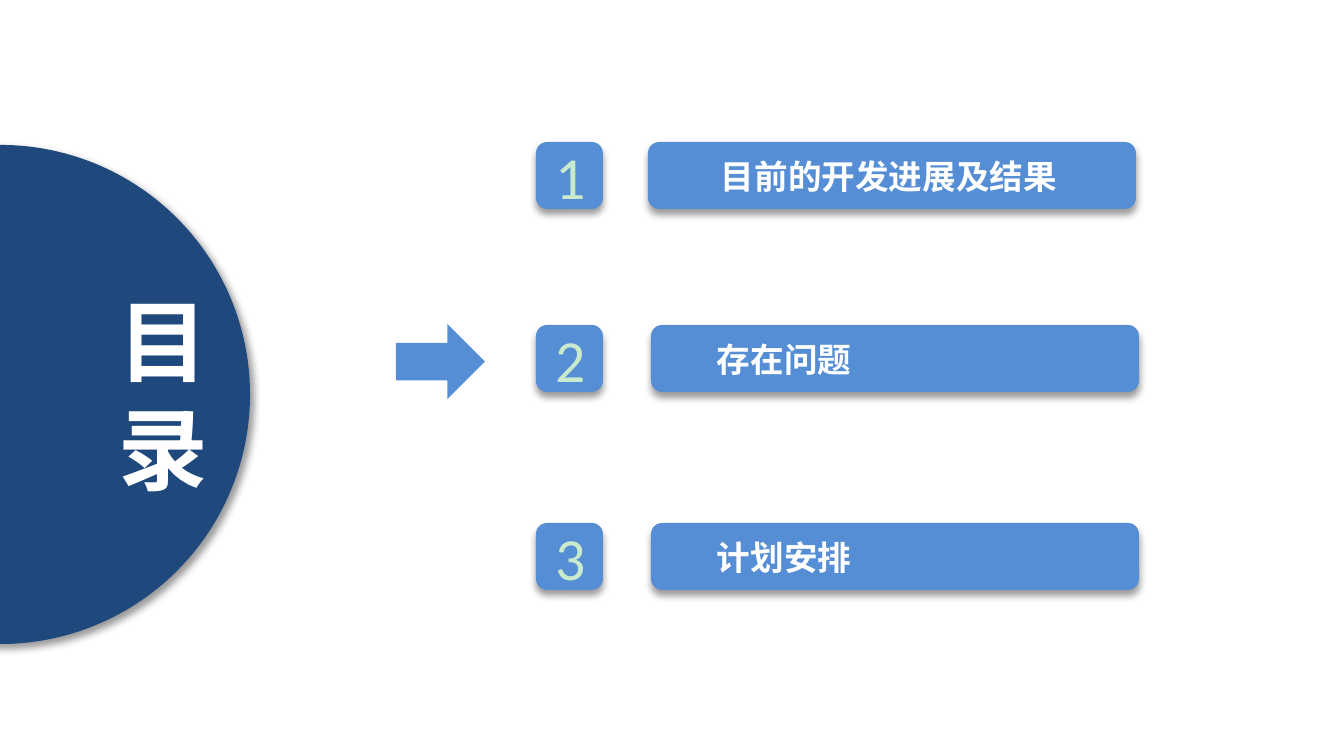
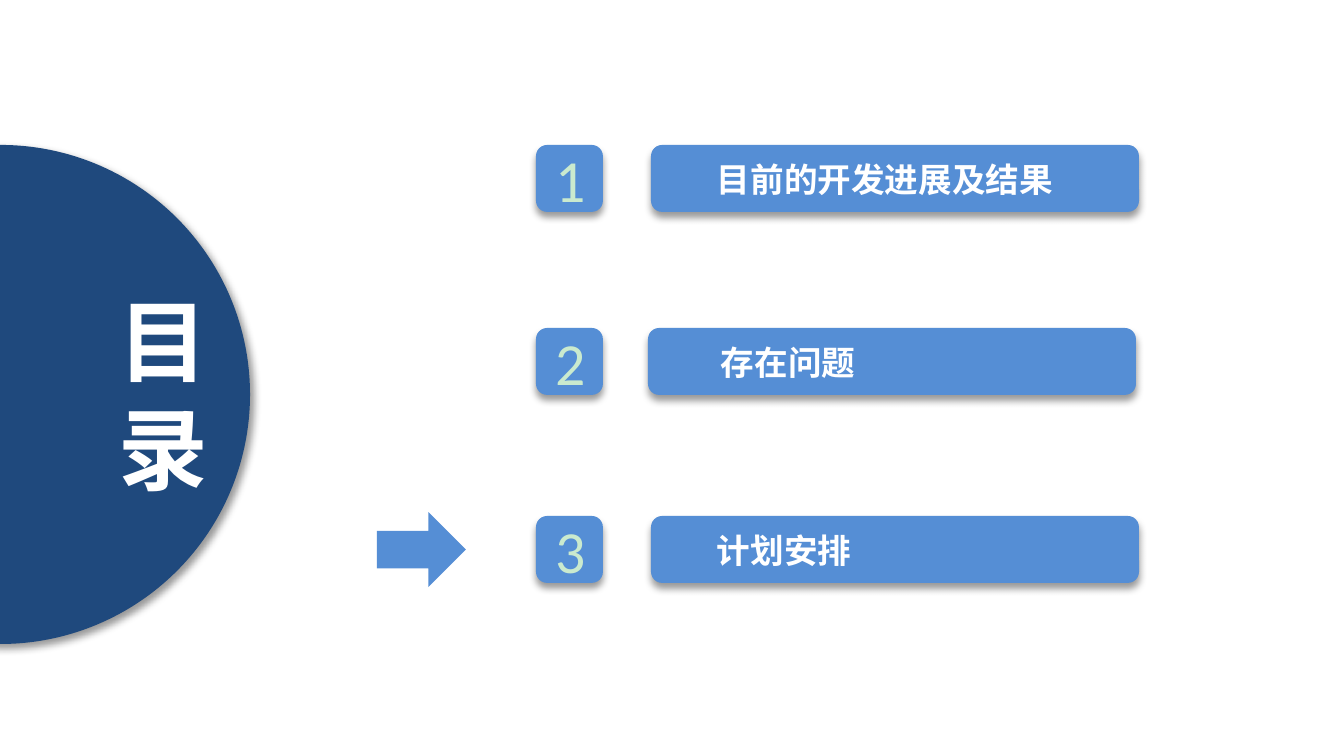
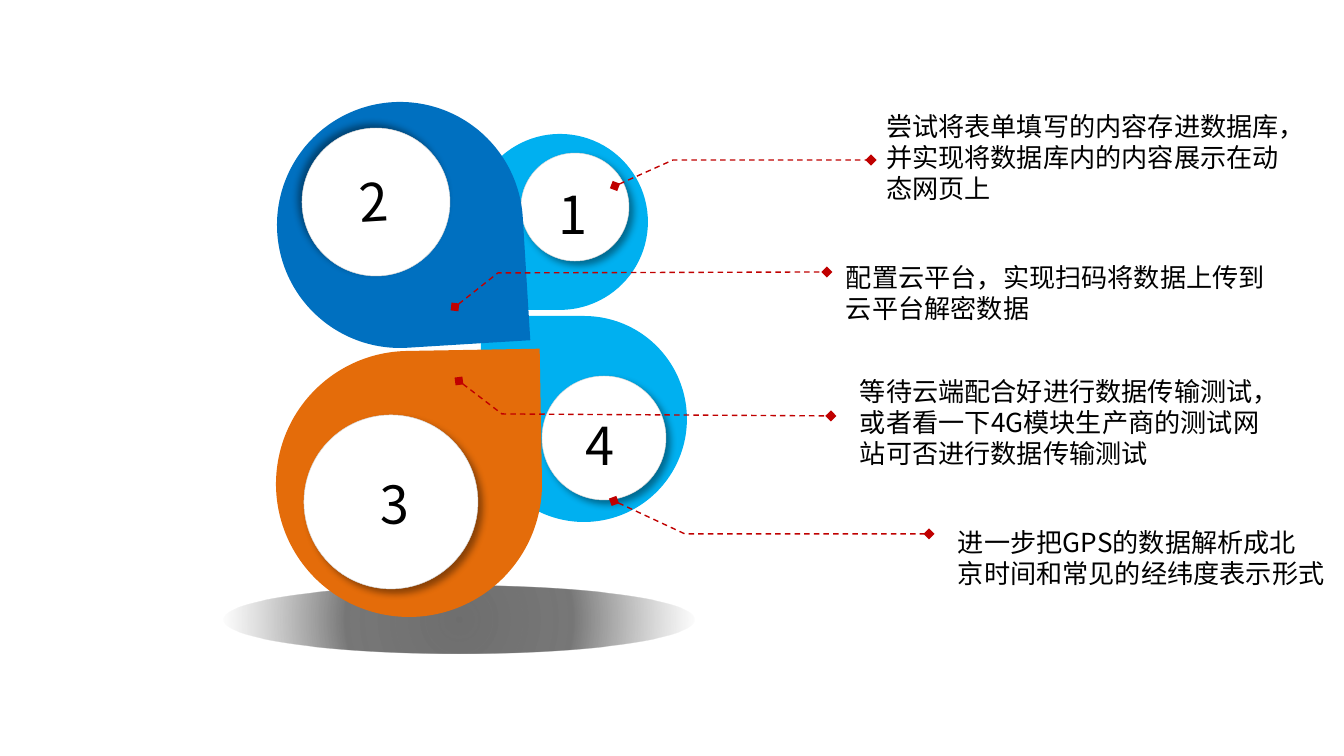
from lxml.etree import SubElement
from pptx import Presentation
from pptx.dml.color import RGBColor
from pptx.enum.dml import MSO_LINE_DASH_STYLE as DASH
from pptx.enum.shapes import MSO_SHAPE as SHAPE
from pptx.enum.text import MSO_ANCHOR as ANCHOR, MSO_AUTO_SIZE as AUTO, PP_ALIGN as ALIGN
from pptx.oxml.ns import qn
from pptx.util import Emu, Pt

COLORS = {
    "navy": "1F497D", "blue": "558ED5", "mint": "CAEACE", "white": "FFFFFF",
    "black": "000000", "sky": "00B0F0", "deep": "0070C0", "orange": "E46C0A",
    "red": "C00000", "rim": "D9D9D9",
}
CJK, LATIN = "Noto Sans CJK SC", "Calibri"
EMU_PER_PX = 914400 / 134.4
TOPICS = ["目前的开发进展及结果", "存在问题", "计划安排"]
LABEL_INSETS = (17, 9)
NUMBER_INSETS = (16, 8)
PLAIN_INSETS = (13, 7)


def px(length):
    return Emu(round(length * EMU_PER_PX))


def color(name):
    return RGBColor.from_string(COLORS[name])


def add_figure(page, kind, box, fill, rotation=0, flip=False, shadow=None):
    """Add a preset shape without outline; shadow is its direction in degrees."""
    figure = page.shapes.add_shape(kind, *map(px, box))
    figure.fill.solid()
    figure.fill.fore_color.rgb = color(fill)
    figure.line.fill.background()
    figure.rotation = rotation
    figure.shadow.inherit = False
    properties = figure._element.spPr
    if flip:
        properties.find(qn("a:xfrm")).set("flipH", "1")
    if shadow is not None:
        outer = SubElement(
            properties.find(qn("a:effectLst")), qn("a:outerShdw"),
            blurRad=str(Pt(4)), dist=str(Pt(3)), dir=str(shadow * 60000),
            algn="ctr", rotWithShape="0")
        tint = SubElement(outer, qn("a:srgbClr"), val=COLORS["black"])
        SubElement(tint, qn("a:alpha"), val="40000")
    return figure


def write(shape, lines, size, ink, insets, font=CJK, bold=False,
          align=ALIGN.LEFT, anchor=ANCHOR.TOP, wrap=True, grow=True):
    frame = shape.text_frame
    frame.text = "\n".join(lines)
    frame.word_wrap = wrap
    frame.auto_size = AUTO.SHAPE_TO_FIT_TEXT if grow else AUTO.NONE
    frame.vertical_anchor = anchor
    frame.margin_left = frame.margin_right = px(insets[0])
    frame.margin_top = frame.margin_bottom = px(insets[1])
    for para in frame.paragraphs:
        para.alignment = align
        for span in para.runs:
            span.font.size = Pt(size)
            span.font.bold = bold
            span.font.color.rgb = color(ink)
            span.font.name = font
            SubElement(span._r.get_or_add_rPr(), qn("a:ea"), typeface=font)


def add_text(page, box, lines, size, ink, insets=PLAIN_INSETS, **style):
    text_box = page.shapes.add_textbox(*map(px, box))
    write(text_box, lines, size, ink, insets, **style)
    return text_box


def contents_disc(page, x, y, size):
    add_figure(page, SHAPE.OVAL, (x, y, size, size), "navy", shadow=45)
    add_text(page, (x + 238, y + 132, 349, 235), ["目", "录"], 48, "white",
             LABEL_INSETS, bold=True, align=ALIGN.CENTER)


def topic_row(page, x, y, number, topic, bar_gap, label_gap, label_width):
    badge = add_figure(page, SHAPE.ROUNDED_RECTANGLE, (x, y, 67, 67), "blue", shadow=90)
    write(badge, [str(number)], 32, "mint", NUMBER_INSETS, font=LATIN,
          align=ALIGN.CENTER, anchor=ANCHOR.MIDDLE, grow=False)
    bar_x = x + bar_gap
    add_figure(page, SHAPE.ROUNDED_RECTANGLE, (bar_x, y, 488, 67), "blue", shadow=90)
    label = add_figure(page, SHAPE.RECTANGLE,
                       (bar_x + label_gap, y + 5, label_width, 59), "blue")
    write(label, [topic], 18, "white", LABEL_INSETS, bold=True)


def contents_page(page, rows, arrow_at):
    """rows holds top, bar gap, label gap and label width for each topic."""
    contents_disc(page, -249, 145, 499)
    for number, (topic, (top, *layout)) in enumerate(zip(TOPICS, rows), 1):
        topic_row(page, 536, top, number, topic, *layout)
    add_figure(page, SHAPE.DOWN_ARROW, (*arrow_at, 75, 89), "blue", rotation=270)


def petal(page, box, fill, number, hole, digit, rotation=0, flip=True,
          tilt=0, shadow=45):
    """Add a teardrop; hole and digit are placed from its top left corner."""
    x, y, size = box
    add_figure(page, SHAPE.TEAR, (x, y, size, size), fill, rotation, flip)
    hole_x, hole_y, hole_size = hole
    disc = add_figure(page, SHAPE.OVAL, (x + hole_x, y + hole_y, hole_size, hole_size),
                      "white", shadow=shadow)
    disc.line.color.rgb = color("rim")
    disc.line.width = Pt(0.25)
    digit_x, digit_y = digit
    label = add_text(page, (x + digit_x, y + digit_y, 58, 77), [str(number)], 28,
                     "black", align=ALIGN.CENTER, wrap=False)
    label.rotation = tilt


def ground_shade(page, box):
    shade = add_figure(page, SHAPE.OVAL, box, "black", rotation=180)
    properties = shade._element.spPr
    solid = properties.find(qn("a:solidFill"))
    gradient = SubElement(properties, qn("a:gradFill"), rotWithShape="1")
    properties.replace(solid, gradient)
    stops = SubElement(gradient, qn("a:gsLst"))
    for position, tone, alpha in [(0, "404040", 75), (48, "535353", 78), (100, "808080", 0)]:
        stop = SubElement(stops, qn("a:gs"), pos=str(position * 1000))
        tint = SubElement(stop, qn("a:srgbClr"), val=tone)
        SubElement(tint, qn("a:alpha"), val=str(alpha * 1000))
    circle = SubElement(gradient, qn("a:path"), path="circle")
    SubElement(circle, qn("a:fillToRect"), l="50000", t="50000", r="50000", b="50000")


def leader(page, *points):
    """Add a dashed bent line with a diamond at both ends."""
    start, *others = [(px(x), px(y)) for x, y in points]
    builder = page.shapes.build_freeform(*start)
    builder.add_line_segments(others, close=False)
    bent = builder.convert_to_shape()
    bent.shadow.inherit = False
    bent.fill.background()
    bent.line.color.rgb = color("red")
    bent.line.width = Pt(0.75)
    bent.line.dash_style = DASH.DASH
    outline = bent._element.spPr.find(qn("a:ln"))
    for end in ("a:headEnd", "a:tailEnd"):
        SubElement(outline, qn(end), type="diamond")


def plan_page(page):
    petal(page, (481, 316, 206), "sky", 4, (61, 60, 124), (90, 90))
    ground_shade(page, (224, 586, 470, 67))
    petal(page, (472, 134, 176), "sky", 1, (49, 19, 108), (72, 41), rotation=270)
    petal(page, (276, 351, 266), "orange", 3, (28, 64, 174), (90, 114),
          rotation=359, flip=False, tilt=359)
    petal(page, (277, 102, 246), "deep", 2, (25, 26, 148), (68, 60),
          rotation=176.5, tilt=356.5, shadow=225)

    leader(page, (615, 186), (673, 160), (871, 160))
    leader(page, (614, 501), (685, 534), (929, 534))
    leader(page, (455, 307), (498, 273), (827, 272))
    leader(page, (459, 381), (502, 414), (831, 416))

    notes = [
        ((945, 519, 396, 77), ["进一步把GPS的数据解析成北", "京时间和常见的经纬度表示形式"]),
        ((833, 254, 449, 77), ["配置云平台，实现扫码将数据上传到", "云平台解密数据"]),
        ((873, 103, 431, 109),
         ["尝试将表单填写的内容存进数据库，并实现将数据库内的内容展示在动态网页上"]),
        ((847, 368, 449, 109),
         ["等待云端配合好进行数据传输测试，", "或者看一下4G模块生产商的测试网", "站可否进行数据传输测试"]),
    ]
    for box, lines in notes:
        add_text(page, box, lines, 14, "black", wrap=len(lines) == 1)


def main():
    deck = Presentation()
    deck.slide_width, deck.slide_height = px(1344), px(756)
    blank = deck.slide_layouts[6]
    contents_page(deck.slides.add_slide(blank),
                  [(142, 112, 56, 413), (325, 115, 49, 345), (523, 115, 49, 356)],
                  (403, 317))
    contents_page(deck.slides.add_slide(blank),
                  [(145, 115, 49, 434), (328, 112, 56, 345), (516, 115, 49, 345)],
                  (384, 505))
    plan_page(deck.slides.add_slide(blank))
    deck.save("out.pptx")


if __name__ == "__main__":
    main()
